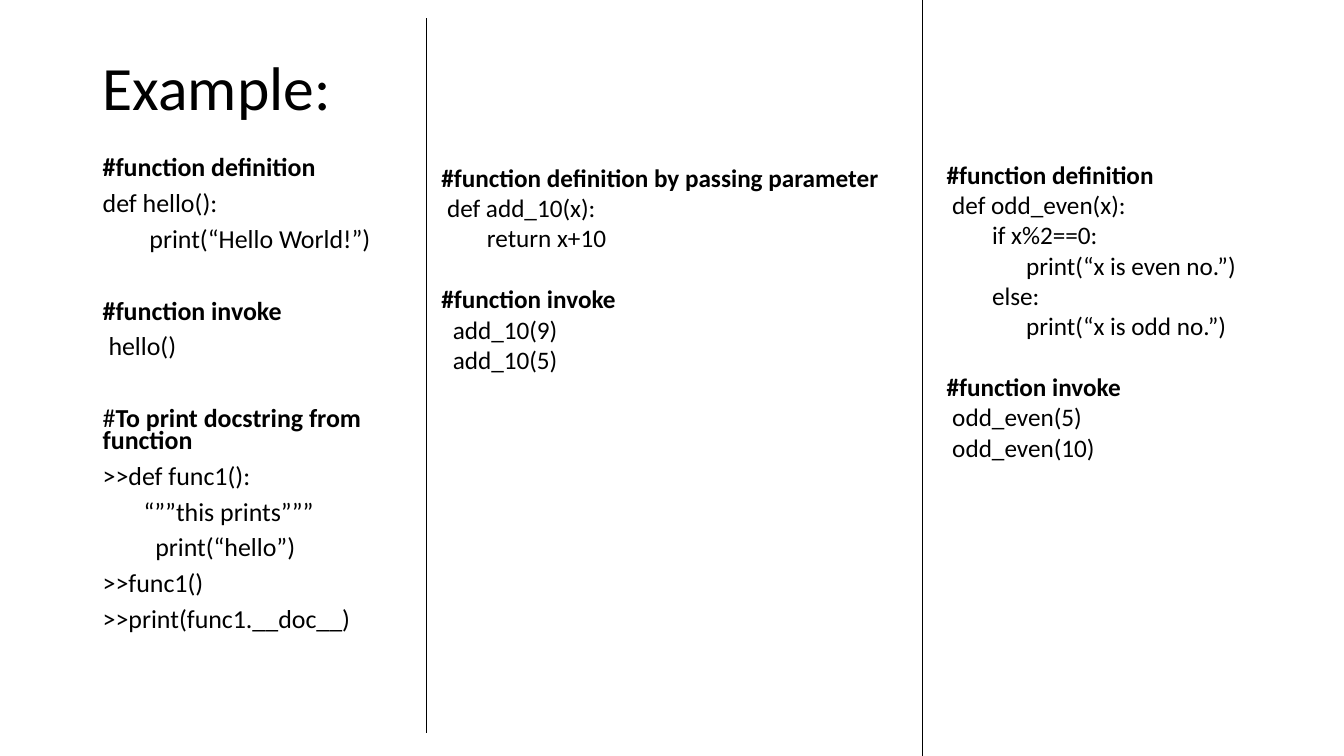
from dataclasses import dataclass

from lxml import etree
from pptx import Presentation
from pptx.dml.color import RGBColor
from pptx.enum.shapes import MSO_CONNECTOR
from pptx.enum.text import MSO_ANCHOR, MSO_AUTO_SIZE, PP_ALIGN
from pptx.oxml.ns import qn
from pptx.slide import Slide
from pptx.util import Pt

STRAIGHT = MSO_CONNECTOR.STRAIGHT
TOP, MIDDLE = MSO_ANCHOR.TOP, MSO_ANCHOR.MIDDLE
NO_RESIZE = MSO_AUTO_SIZE.NONE
LEFT = PP_ALIGN.LEFT
EMU_PER_PX = 9144
BLANK_LAYOUT = 6


@dataclass(frozen=True)
class Theme:
    font: str = "Calibri"
    ink: RGBColor = RGBColor(0, 0, 0)
    title_size: float = 44
    lesson_size: float = 18.5
    code_size: float = 18
    rule_width: float = 0.5
    line_height: float = 1.22


@dataclass(frozen=True)
class Section:
    heading: str
    code: tuple[str, ...]
    plain_mark: str = ""


@dataclass(frozen=True)
class Column:
    left: int
    top: int
    width: int
    height: int
    size: float
    sections: tuple[Section, ...]
    spacing: float = 1.0
    space_before: float = 0
    anchor: MSO_ANCHOR = TOP


@dataclass(frozen=True)
class Divider:
    x: int
    top: int
    bottom: int


THEME = Theme()
WIDTH, HEIGHT = 1333, 750

COLUMNS = (
    Column(92, 40, 319, 100, THEME.title_size,
           (Section("", ("Example:",)),), spacing=0.9, anchor=MIDDLE),
    Column(92, 153, 362, 522, THEME.lesson_size, (
        Section("#function definition", (
            "def hello():",
            "        print(“Hello World!”)",
        )),
        Section("#function invoke", (" hello()",)),
        Section("To print docstring from function", (
            ">>def func1():",
            "       “””this prints”””",
            "         print(“hello”)",
            ">>func1()",
            ">>print(func1.__doc__)",
        ), plain_mark="#"),
    ), spacing=0.7, space_before=10),
    Column(428, 156, 494, 222, THEME.code_size, (
        Section("#function definition by passing parameter", (
            " def add_10(x):",
            "        return x+10",
        )),
        Section("#function invoke", ("  add_10(9)", "  add_10(5)")),
    )),
    Column(929, 153, 404, 313, THEME.code_size, (
        Section("#function definition", (
            " def odd_even(x):",
            "        if x%2==0:",
            "              print(“x is even no.”)",
            "        else:",
            "              print(“x is odd no.”)",
        )),
        Section("#function invoke", (" odd_even(5)", " odd_even(10)")),
    )),
)

DIVIDERS = (Divider(423, 18, 727), Divider(915, 0, HEIGHT))


def px(length: int) -> int:
    return length * EMU_PER_PX


def apply(target: object, values: dict[str, object]) -> None:
    for name, value in values.items():
        setattr(target, name, value)


def section_lines(section: Section) -> list[list[tuple[str, bool]]]:
    heading = [(section.plain_mark, False), (section.heading, True)]
    spans = [part for part in heading if part[0]]
    code = [[(line, False)] for line in section.code]
    return [spans, *code] if spans else code


def draw_column(page: Slide, column: Column) -> None:
    box = page.shapes.add_textbox(
        px(column.left), px(column.top), px(column.width), px(column.height))
    frame = box.text_frame
    apply(frame, {"word_wrap": True, "auto_size": NO_RESIZE,
                  "vertical_anchor": column.anchor})
    line_pitch = (column.size * THEME.line_height * column.spacing
                  + column.space_before)
    for section_index, section in enumerate(column.sections):
        for line_index, spans in enumerate(section_lines(section)):
            first = section_index == 0 and line_index == 0
            para = frame.paragraphs[0] if first else frame.add_paragraph()
            gap = column.space_before + (line_pitch if line_index == 0 else 0)
            apply(para, {"alignment": LEFT, "line_spacing": column.spacing,
                         "space_before": Pt(0 if first else round(gap, 1))})
            for text, bold in spans:
                span = para.add_run()
                span.text = text
                apply(span.font, {"name": THEME.font, "size": Pt(column.size),
                                  "bold": bold})
                span.font.color.rgb = THEME.ink


def draw_divider(page: Slide, divider: Divider) -> None:
    rule = page.shapes.add_connector(
        STRAIGHT, px(divider.x), px(divider.top),
        px(divider.x), px(divider.bottom))
    rule.line.color.rgb = THEME.ink
    rule.line.width = Pt(THEME.rule_width)
    etree.SubElement(rule._element.spPr, qn("a:effectLst"))


def main() -> None:
    deck = Presentation()
    apply(deck, {"slide_width": px(WIDTH), "slide_height": px(HEIGHT)})
    page = deck.slides.add_slide(deck.slide_layouts[BLANK_LAYOUT])
    for column in COLUMNS:
        draw_column(page, column)
    for divider in DIVIDERS:
        draw_divider(page, divider)
    deck.save("out.pptx")


if __name__ == "__main__":
    main()
